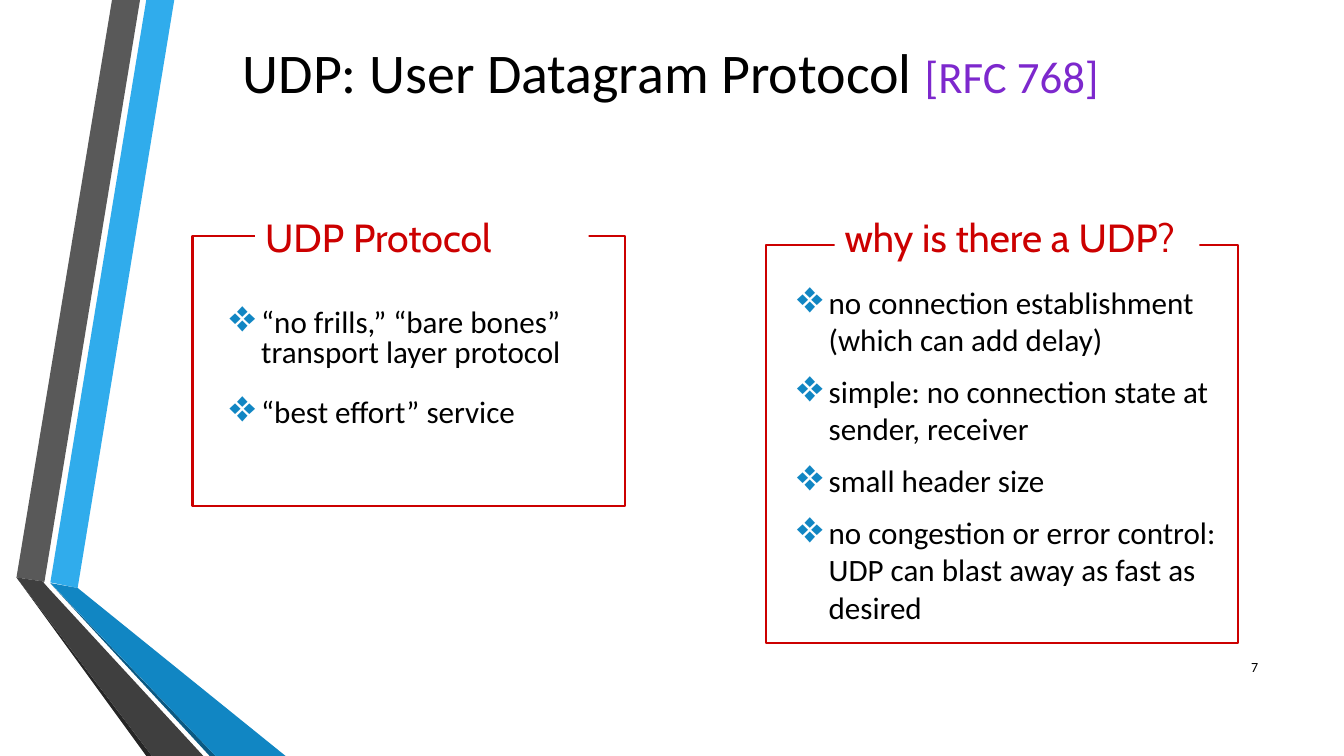
from typing import NamedTuple

from lxml.etree import SubElement
from pptx import Presentation
from pptx.dml.color import RGBColor
from pptx.enum.shapes import MSO_SHAPE as Preset
from pptx.enum.text import MSO_ANCHOR as Anchor, MSO_AUTO_SIZE as AutoSize, PP_ALIGN as Align
from pptx.oxml.ns import qn
from pptx.shapes.autoshape import Shape
from pptx.shapes.shapetree import SlideShapes
from pptx.util import Pt

BLACK = RGBColor(0x00, 0x00, 0x00)
WHITE = RGBColor(0xFF, 0xFF, 0xFF)
RED = RGBColor(0xCC, 0x00, 0x00)
PURPLE = RGBColor(0x7D, 0x28, 0xCD)
SKY = RGBColor(0x30, 0xAC, 0xEC)
BLUE = RGBColor(0x11, 0x86, 0xC3)
NAVY = RGBColor(0x0B, 0x59, 0x82)
GRAY = RGBColor(0x59, 0x59, 0x59)
DARK_GRAY = RGBColor(0x3F, 0x3F, 0x3F)
CHARCOAL = RGBColor(0x26, 0x26, 0x26)

BODY_FONT, CAPTION_FONT = "Calibri", "Cabin"
BULLET_INDENT = 22.5


class Box(NamedTuple):
    left: float
    top: float
    width: float
    height: float


class Ribbon(NamedTuple):
    color: RGBColor
    corners: list[tuple[float, float]]


class Panel(NamedTuple):
    frame: Box
    caption: str
    caption_box: Box
    points: list[str]
    points_box: Box
    gap: float
    line_spacing: float


class Span(NamedTuple):
    text: str
    size: float
    color: RGBColor = BLACK


RIBBONS = [
    Ribbon(SKY, [(36, 416), (55.5, 420), (124.5, 0), (104.5, 0)]),
    Ribbon(GRAY, [(100, 0), (80, 0), (11.75, 412.5), (31.75, 415.5)]),
    Ribbon(CHARCOAL, [(11.75, 412.5), (104.5, 540), (108.5, 540)]),
    Ribbon(NAVY, [(36, 416.75), (149.75, 540), (154, 540)]),
    Ribbon(BLUE, [(36, 416.5), (154, 540), (204, 540), (55.5, 420)]),
    Ribbon(DARK_GRAY, [(145.25, 540), (34.5, 420), (31, 416), (31.75, 415.5),
                       (11.75, 412.5), (108.5, 540)]),
]

PANELS = [
    Panel(Box(547.2, 175, 337, 284.4), "why is there a UDP?", Box(596.2, 155.5, 260.6, 38.2),
          ["no connection establishment (which can add delay)",
           "simple: no connection state at sender, receiver",
           "small header size",
           "no congestion or error control: UDP can blast away as fast as desired"],
          Box(562.3, 198.7, 316.8, 265.7), 10.4, 1.0),
    Panel(Box(137.5, 168.5, 308.9, 193), "UDP Protocol", Box(182.2, 155.5, 238.3, 23.8),
          ["“no frills,” “bare bones” transport layer protocol",
           "“best effort” service"],
          Box(157, 217.5, 290.2, 96), 21.5, 0.8),
]


def add_ribbon(shapes: SlideShapes, ribbon: Ribbon) -> None:
    start, *rest = [(Pt(x), Pt(y)) for x, y in ribbon.corners]
    builder = shapes.build_freeform(*start)
    builder.add_line_segments(rest, close=True)
    band = builder.convert_to_shape()
    band.shadow.inherit = False
    band.fill.solid()
    band.fill.fore_color.rgb = ribbon.color
    band.line.fill.background()


def add_rectangle(shapes: SlideShapes, box: Box, fill: RGBColor | None = None,
                  line: RGBColor | None = None) -> Shape:
    rectangle = shapes.add_shape(Preset.RECTANGLE, *map(Pt, box))
    rectangle.shadow.inherit = False
    if fill is None:
        rectangle.fill.background()
    else:
        rectangle.fill.solid()
        rectangle.fill.fore_color.rgb = fill
    if line is None:
        rectangle.line.fill.background()
    else:
        rectangle.line.color.rgb = line
        rectangle.line.width = Pt(1.5)
    return rectangle


def write_text(shape: Shape, paragraphs: list[list[Span]], *, font: str = BODY_FONT,
               align: Align = Align.LEFT, anchor: Anchor = Anchor.TOP,
               line_spacing: float = 1.0, gap: float = 0, bulleted: bool = False) -> None:
    frame = shape.text_frame
    frame.word_wrap = True
    frame.vertical_anchor = anchor
    for index, spans in enumerate(paragraphs):
        paragraph = frame.add_paragraph() if index else frame.paragraphs[0]
        paragraph.alignment = align
        paragraph.line_spacing = line_spacing
        if index:
            paragraph.space_before = Pt(gap)
        if bulleted:
            add_bullet(paragraph)
        for span in spans:
            run = paragraph.add_run()
            run.text = span.text
            run.font.name = font
            run.font.size = Pt(span.size)
            run.font.color.rgb = span.color


def add_bullet(paragraph) -> None:
    properties = paragraph._p.get_or_add_pPr()
    properties.set("marL", str(Pt(BULLET_INDENT)))
    properties.set("indent", str(-Pt(BULLET_INDENT)))
    color = SubElement(properties, qn("a:buClr"))
    SubElement(color, qn("a:srgbClr"), val=str(BLUE))
    SubElement(properties, qn("a:buSzPct"), val="145000")
    SubElement(properties, qn("a:buChar"), char="❖")


def add_panel(shapes: SlideShapes, panel: Panel) -> None:
    """Draw a red frame whose top edge is broken by the caption."""
    add_rectangle(shapes, panel.frame, line=RED)
    caption = add_rectangle(shapes, panel.caption_box, fill=WHITE)
    write_text(caption, [[Span(panel.caption, 28, RED)]], font=CAPTION_FONT, line_spacing=0.8)
    caption.text_frame.auto_size = AutoSize.SHAPE_TO_FIT_TEXT
    points = shapes.add_textbox(*map(Pt, panel.points_box))
    write_text(points, [[Span(point, 22.2)] for point in panel.points],
               line_spacing=panel.line_spacing, gap=panel.gap, bulleted=True)


def main() -> None:
    deck = Presentation()
    deck.slide_width, deck.slide_height = Pt(960), Pt(540)
    shapes = deck.slides.add_slide(deck.slide_layouts[6]).shapes

    for ribbon in RIBBONS:
        add_ribbon(shapes, ribbon)

    page_number = shapes.add_textbox(*map(Pt, Box(862.6, 462.2, 43.2, 28.8)))
    write_text(page_number, [[Span("7", 10)]], align=Align.RIGHT, anchor=Anchor.MIDDLE)

    title = shapes.add_textbox(*map(Pt, Box(143.3, 14.4, 671.8, 72.7)))
    write_text(title, [[Span("UDP: User Datagram Protocol ", 40), Span("[RFC 768]", 32, PURPLE)]],
               align=Align.CENTER, anchor=Anchor.MIDDLE)

    for panel in PANELS:
        add_panel(shapes, panel)

    deck.save("out.pptx")


if __name__ == "__main__":
    main()
